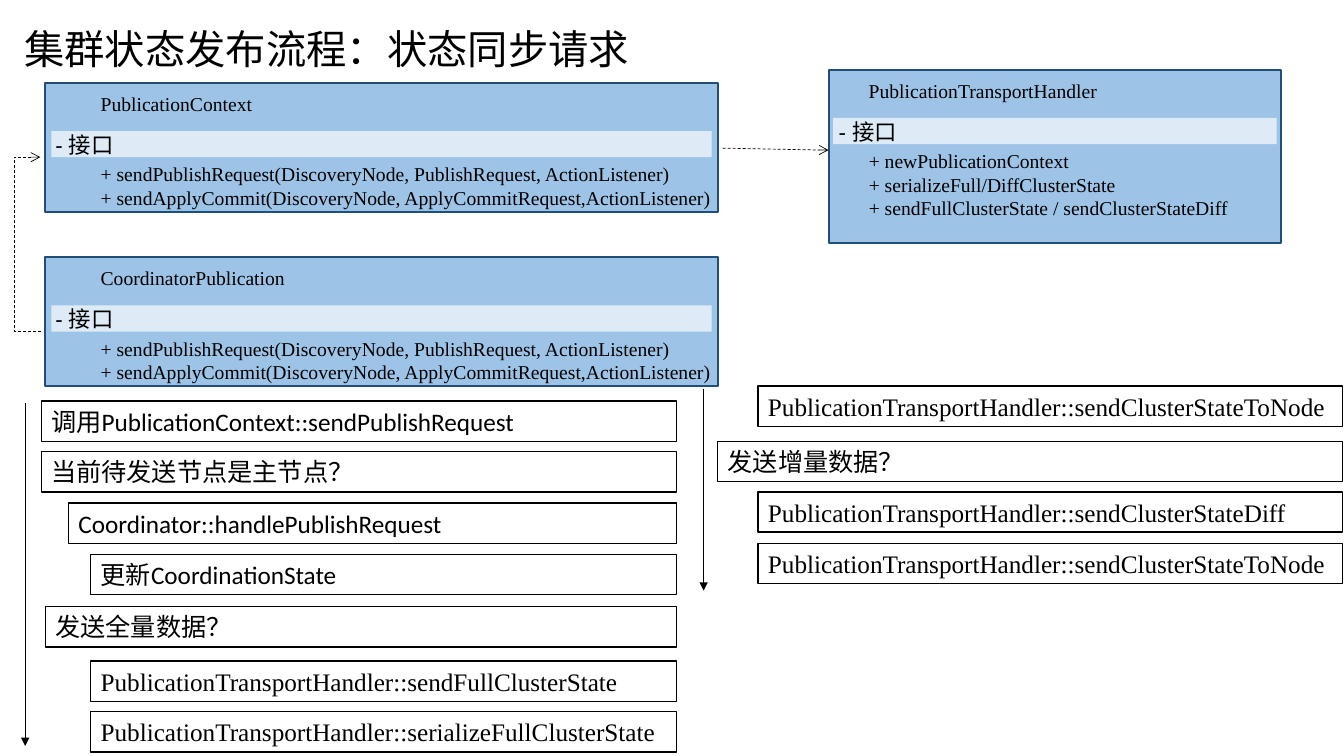
from lxml.etree import SubElement
from pptx import Presentation
from pptx.dml.color import RGBColor
from pptx.enum.dml import MSO_LINE_DASH_STYLE as Dash
from pptx.enum.shapes import MSO_CONNECTOR as Connector, MSO_SHAPE as Shape
from pptx.enum.text import MSO_ANCHOR as Anchor, MSO_AUTO_SIZE as AutoSize, PP_ALIGN as Align
from pptx.oxml.ns import qn
from pptx.util import Inches, Pt

COLORS = {"ink": "000000", "paper": "FFFFFF", "card": "9DC3E6", "edge": "1F4E79", "strip": "DEEBF7"}
CJK, SERIF, SANS, LABEL = "Noto Sans CJK SC", "Times New Roman", "Calibri", "Arial"
CELL = Inches(0.1)
COLUMNS, ROWS = 133.33, 75
LEFT_EDGE, RIGHT_EDGE = 67.1, 133.2
STEP_HEIGHT = 4

SENDERS = [
    "+ sendPublishRequest(DiscoveryNode, PublishRequest, ActionListener)",
    "+ sendApplyCommit(DiscoveryNode, ApplyCommitRequest,ActionListener)",
]
TRANSPORTS = [
    "+ newPublicationContext",
    "+ serializeFull/DiffClusterState",
    "+ sendFullClusterState / sendClusterStateDiff",
]
CARDS = [
    ("PublicationContext", SENDERS, (4.5, 8.2, 66.7, 12.8), 4.5, 0.6, 18.5),
    ("CoordinatorPublication", SENDERS, (4.5, 25.5, 66.7, 12.8), 4.5, 0.6, 18.5),
    ("PublicationTransportHandler", TRANSPORTS, (82.2, 6.9, 44.9, 17.2), 3, 0.45, 12.5),
]
HANDLER = "PublicationTransportHandler::"
STEPS = [
    (4.1, 39.8, LEFT_EDGE, SANS, "调用PublicationContext::sendPublishRequest"),
    (4.1, 44.8, LEFT_EDGE, SANS, "当前待发送节点是主节点？"),
    (6.8, 49.9, LEFT_EDGE, SANS, "Coordinator::handlePublishRequest"),
    (9, 55, LEFT_EDGE, SANS, "更新CoordinationState"),
    (4.5, 60.2, LEFT_EDGE, SANS, "发送全量数据？"),
    (9, 65.6, LEFT_EDGE, SERIF, HANDLER + "sendFullClusterState"),
    (9, 70.6, LEFT_EDGE, SERIF, HANDLER + "serializeFullClusterState"),
    (75.2, 38.3, RIGHT_EDGE, SERIF, HANDLER + "sendClusterStateToNode"),
    (71.2, 43.8, RIGHT_EDGE, SANS, "发送增量数据？"),
    (75.2, 48.8, RIGHT_EDGE, SERIF, HANDLER + "sendClusterStateDiff"),
    (75.2, 53.9, RIGHT_EDGE, SERIF, HANDLER + "sendClusterStateToNode"),
]


def grid(*cells):
    return [round(cell * CELL) for cell in cells]


def color(name):
    return RGBColor.from_string(COLORS[name])


def write(frame, lines, size, font):
    for index, line in enumerate(lines):
        paragraph = frame.add_paragraph() if index else frame.paragraphs[0]
        paragraph.alignment = Align.LEFT
        run = paragraph.add_run()
        run.text = line
        run.font.size = Pt(size)
        run.font.name = font
        run.font.color.rgb = color("ink")
        east_asian = SubElement(run.font._element, qn("a:ea"))
        east_asian.set("typeface", CJK)


def add_title(slide, text):
    title = slide.shapes.title
    title.left, title.top, title.width, title.height = grid(1.4, 0.6, 66.9, 9.1)
    frame = title.text_frame
    frame.auto_size = AutoSize.NONE
    frame.vertical_anchor = Anchor.MIDDLE
    write(frame, [text], 28.8, CJK)
    frame.paragraphs[0].line_spacing = 0.9


def add_box(shapes, place, fill, line=None, weight=1):
    box = shapes.add_shape(Shape.RECTANGLE, *grid(*place))
    box.shadow.inherit = False
    box.fill.solid()
    box.fill.fore_color.rgb = color(fill)
    if line:
        box.line.color.rgb = color(line)
        box.line.width = Pt(weight)
    else:
        box.line.fill.background()
    return box


def add_text(shapes, place, lines, size, font):
    frame = shapes.add_textbox(*grid(*place)).text_frame
    frame.word_wrap = True
    frame.auto_size = AutoSize.SHAPE_TO_FIT_TEXT
    write(frame, lines, size, font)


def add_card(slide, name, members, place, indent, inset, label_width):
    left, top, width, height = place
    text_left = left + indent
    shapes = slide.shapes.add_group_shape().shapes
    add_box(shapes, place, "card", "edge", 1.5)
    add_text(shapes, (text_left, top + 0.4, width - 1.3 * indent, 3.3), [name], 14, SERIF)
    add_box(shapes, (left + inset, top + 4.8, width - 2 * inset, 2.6), "strip")
    add_text(shapes, (left, top + 4.3, label_width, 3.7), ["- 接口"], 16, LABEL)
    members_height = 1 + 2.35 * len(members)
    add_text(shapes, (text_left, top + 7.4, width + indent, members_height), members, 14, SERIF)


def add_step(slide, left, top, right, font, text):
    step = add_box(slide.shapes, (left, top, right - left, STEP_HEIGHT), "paper", "ink")
    frame = step.text_frame
    frame.word_wrap = True
    frame.auto_size = AutoSize.SHAPE_TO_FIT_TEXT
    frame.vertical_anchor = Anchor.TOP
    write(frame, [text], 18, font)


def add_arrow(slide, start, end, head, kind=Connector.STRAIGHT, dashed=False):
    arrow = slide.shapes.add_connector(kind, *grid(*start, *end))
    arrow.line.color.rgb = color("ink")
    arrow.line.width = Pt(0.5)
    if dashed:
        arrow.line.dash_style = Dash.DASH
    properties = arrow._element.spPr
    SubElement(properties.find(qn("a:ln")), qn("a:tailEnd")).set("type", head)
    SubElement(properties, qn("a:effectLst"))
    return arrow


def set_bend(arrow, column):
    share = (arrow.begin_x - column * CELL) / (arrow.begin_x - arrow.end_x)
    geometry = arrow._element.spPr.find(qn("a:prstGeom"))
    adjustments = geometry.find(qn("a:avLst"))
    if adjustments is None:
        adjustments = SubElement(geometry, qn("a:avLst"))
    guide = SubElement(adjustments, qn("a:gd"))
    guide.set("name", "adj1")
    guide.set("fmla", f"val {round(share * 100000)}")


def main():
    presentation = Presentation()
    presentation.slide_width, presentation.slide_height = grid(COLUMNS, ROWS)
    slide = presentation.slides.add_slide(presentation.slide_layouts[5])
    add_title(slide, "集群状态发布流程：状态同步请求")
    for card in CARDS:
        add_card(slide, *card)
    add_arrow(slide, (71.7, 14.7), (82.2, 14.9), "arrow", dashed=True)
    loop = add_arrow(slide, (4.1, 32.9), (4, 15.6), "arrow", Connector.ELBOW, True)
    set_bend(loop, 1.4)
    for step in STEPS:
        add_step(slide, *step)
    add_arrow(slide, (2.5, 40), (2.5, 74), "triangle")
    add_arrow(slide, (69.8, 38.6), (69.8, 58.6), "triangle")
    presentation.save("out.pptx")


if __name__ == "__main__":
    main()
